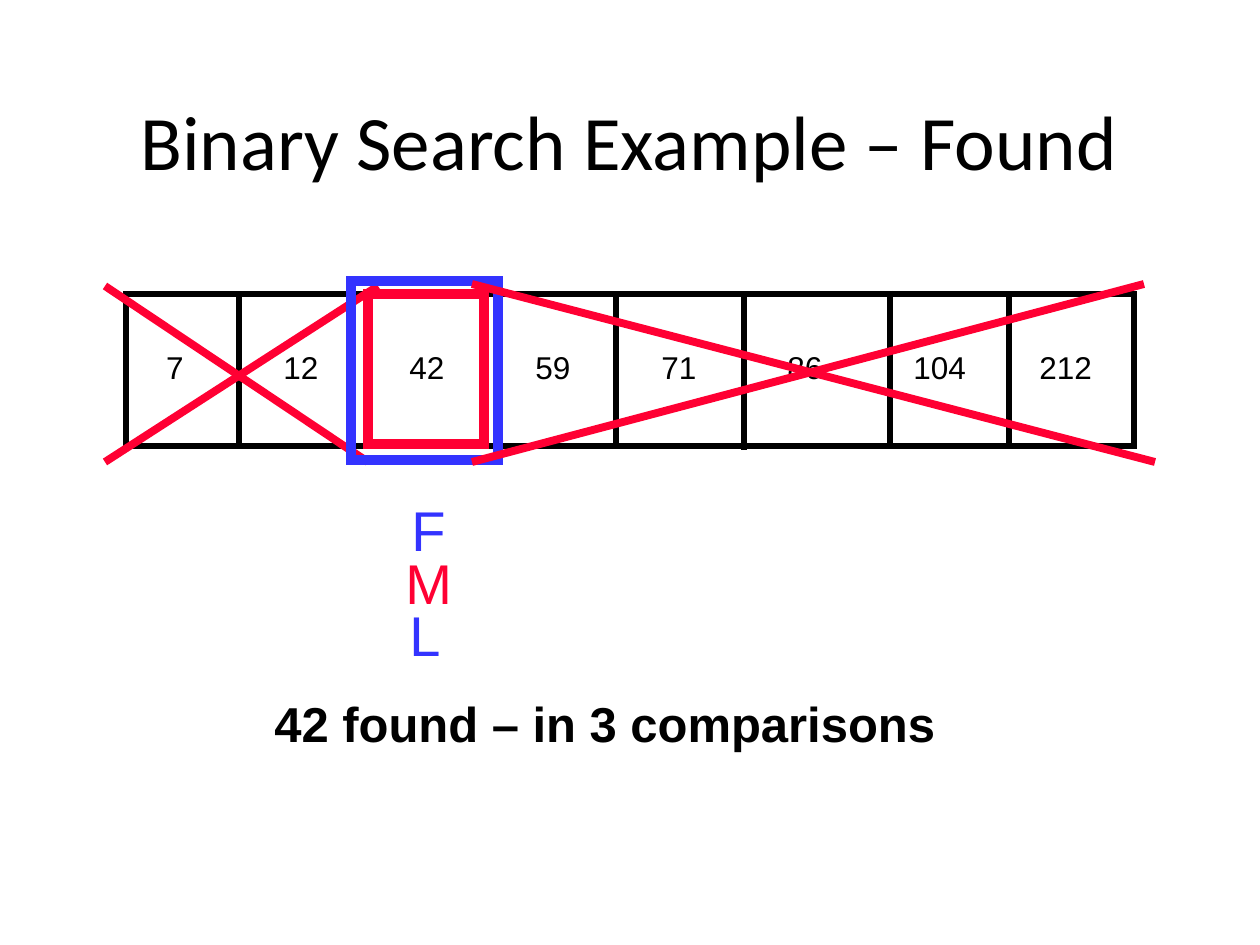
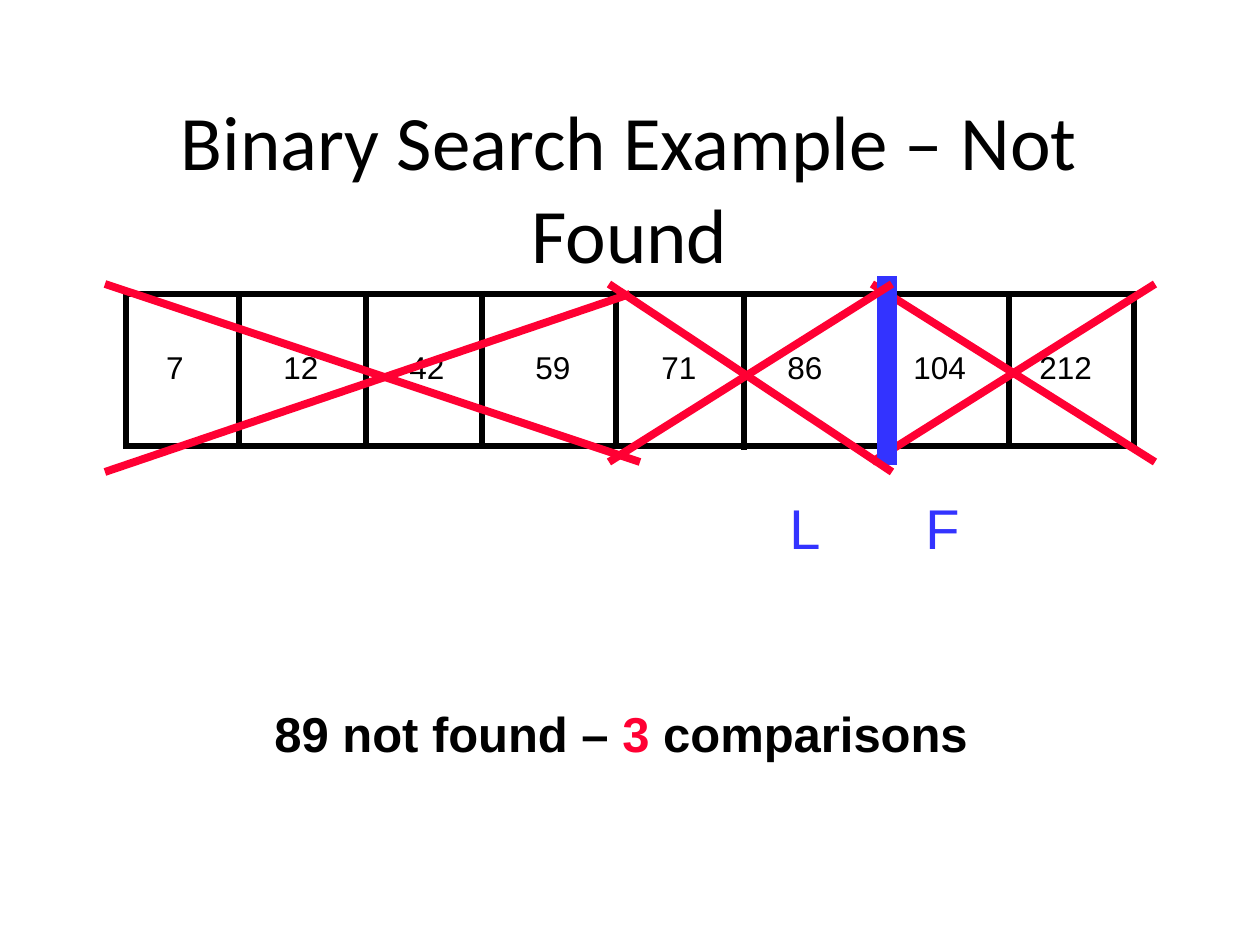
from dataclasses import dataclass
from typing import NamedTuple, Optional, Union

from lxml import etree
from pptx import Presentation
from pptx.dml.color import RGBColor
from pptx.enum.shapes import MSO_CONNECTOR, MSO_SHAPE
from pptx.enum.text import MSO_ANCHOR, PP_ALIGN
from pptx.oxml.ns import qn
from pptx.util import Pt

LINE = MSO_CONNECTOR.STRAIGHT
RECT = MSO_SHAPE.RECTANGLE
TOP = MSO_ANCHOR.TOP
LEFT, MID = PP_ALIGN.LEFT, PP_ALIGN.CENTER
SCALE = 914400 / 126


@dataclass(frozen=True)
class Theme:
    black: str = "000000"
    red: str = "FF0033"
    blue: str = "3333FF"
    paper: str = "FFFFFF"
    head: str = "Calibri"
    body: str = "Arial"
    title: int = 44
    mark: int = 32
    note: int = 28
    cell: int = 18
    thin: float = 3
    cross: float = 4.5
    frame: float = 6


THEME = Theme()


class Area(NamedTuple):
    x: int
    y: int
    w: int
    h: int


class Run(NamedTuple):
    text: str
    color: str = THEME.black


@dataclass(frozen=True)
class Label:
    area: Area
    runs: tuple[Run, ...]
    size: int
    font: str = THEME.body
    bold: bool = False
    align: PP_ALIGN = LEFT
    tab: int = 0


@dataclass(frozen=True)
class Box:
    area: Area
    color: str
    width: float = THEME.frame


@dataclass(frozen=True)
class Stroke:
    x1: int
    y1: int
    x2: int
    y2: int
    color: str = THEME.red
    width: float = THEME.cross


Item = Union[Label, Box, Stroke]


@dataclass(frozen=True)
class Page:
    title: str
    items: tuple[Item, ...]


def px(value: float) -> int:
    return round(value * SCALE)


def rgb(code: str) -> RGBColor:
    return RGBColor.from_string(code)


def draw_label(shapes, label: Label) -> None:
    frame = shapes.add_textbox(*map(px, label.area)).text_frame
    frame.word_wrap = True
    frame.vertical_anchor = TOP
    frame.margin_top = px(10)
    para = frame.paragraphs[0]
    para.alignment = label.align
    for part in label.runs:
        run = para.add_run()
        run.text = part.text
        run.font.color.rgb = rgb(part.color)
    para.font.name = label.font
    para.font.size = Pt(label.size)
    para.font.bold = label.bold
    for run in para.runs:
        run.font.name = label.font
        run.font.size = Pt(label.size)
        run.font.bold = label.bold
    if label.tab:
        stops = etree.Element(qn("a:tabLst"))
        for k in range(1, len(VALUES)):
            etree.SubElement(stops, qn("a:tab"), pos=str(px(k * label.tab)), algn="l")
        para._p.get_or_add_pPr().insert(0, stops)


def draw_box(shapes, box: Box) -> None:
    shape = shapes.add_shape(RECT, *map(px, box.area))
    shape.shadow.inherit = False
    shape.fill.background()
    shape.line.color.rgb = rgb(box.color)
    shape.line.width = Pt(box.width)
    edge = shape.line._get_or_add_ln()
    etree.SubElement(edge, qn("a:miter"), lim="800000")


def draw_stroke(shapes, item: Stroke) -> None:
    ends = map(px, (item.x1, item.y1, item.x2, item.y2))
    line = shapes.add_connector(LINE, *ends)
    line.line.color.rgb = rgb(item.color)
    line.line.width = Pt(item.width)
    etree.SubElement(line._element.spPr, qn("a:effectLst"))


DRAW = {Label: draw_label, Box: draw_box, Stroke: draw_stroke}


def draw(shapes, items: tuple[Item, ...]) -> None:
    for item in items:
        DRAW[type(item)](shapes, item)


def rule(x: int, top: int, base: int) -> Stroke:
    return Stroke(x, top, x, base, THEME.black, THEME.thin)


def mark(text: str, x: int, y: int, color: str = THEME.blue) -> Label:
    return Label(Area(x, y, 80, 79), (Run(text, color),), THEME.mark)


def note(y: int, *runs: Run) -> Label:
    return Label(Area(262, y, 760, 72), runs, THEME.note, bold=True)


def head(text: str) -> Label:
    return Label(Area(94, 84, 1071, 158), (Run(text),), THEME.title,
                 THEME.head, align=MID)


VALUES = (7, 12, 42, 59, 71, 86, 104, 212)
ARRAY = (
    Box(Area(126, 294, 1008, 152), THEME.black, THEME.thin),
    rule(616, 296, 445),
    rule(366, 291, 446),
    rule(890, 291, 449),
    rule(239, 296, 445),
    rule(482, 291, 446),
    rule(744, 292, 450),
    rule(1009, 294, 449),
    Label(Area(145, 338, 1000, 63),
          (Run(" " + "\t".join(map(str, VALUES))),), THEME.cell, tab=126),
)

PAGES = (
    Page("Binary Search Example – Found", (
        note(683, Run("42 found – in 3 comparisons")),
        Box(Area(368, 294, 116, 150), THEME.red),
        Stroke(378, 286, 105, 462),
        Stroke(105, 286, 368, 462),
        Box(Area(351, 281, 147, 179), THEME.blue),
        mark("F", 399, 485),
        mark("L", 397, 590),
        mark("M", 393, 538, THEME.red),
        Stroke(1144, 284, 472, 462),
        Stroke(472, 284, 1155, 462),
    )),
    Page("Binary Search Example – Not Found", (
        note(693, Run("89 not found – "), Run("3", THEME.red), Run(" comparisons")),
        mark("F", 913, 483),
        mark("L", 777, 483),
        Stroke(1155, 284, 872, 462),
        Stroke(872, 284, 1155, 462),
        Box(Area(882, 281, 10, 179), THEME.blue),
        Stroke(105, 284, 640, 462),
        Stroke(630, 294, 105, 472),
        Stroke(892, 284, 609, 462),
        Stroke(609, 284, 892, 472),
    )),
)


def build(deck, page: Page) -> None:
    slide = deck.slides.add_slide(deck.slide_layouts[6])
    slide.background.fill.solid()
    slide.background.fill.fore_color.rgb = rgb(THEME.paper)
    draw(slide.shapes, (head(page.title),))
    draw(slide.shapes.add_group_shape().shapes, ARRAY)
    draw(slide.shapes, page.items)


def main(name: Optional[str] = None) -> None:
    deck = Presentation()
    deck.slide_width, deck.slide_height = px(1260), px(945)
    for page in PAGES:
        build(deck, page)
    deck.save("out.pptx")


main()
